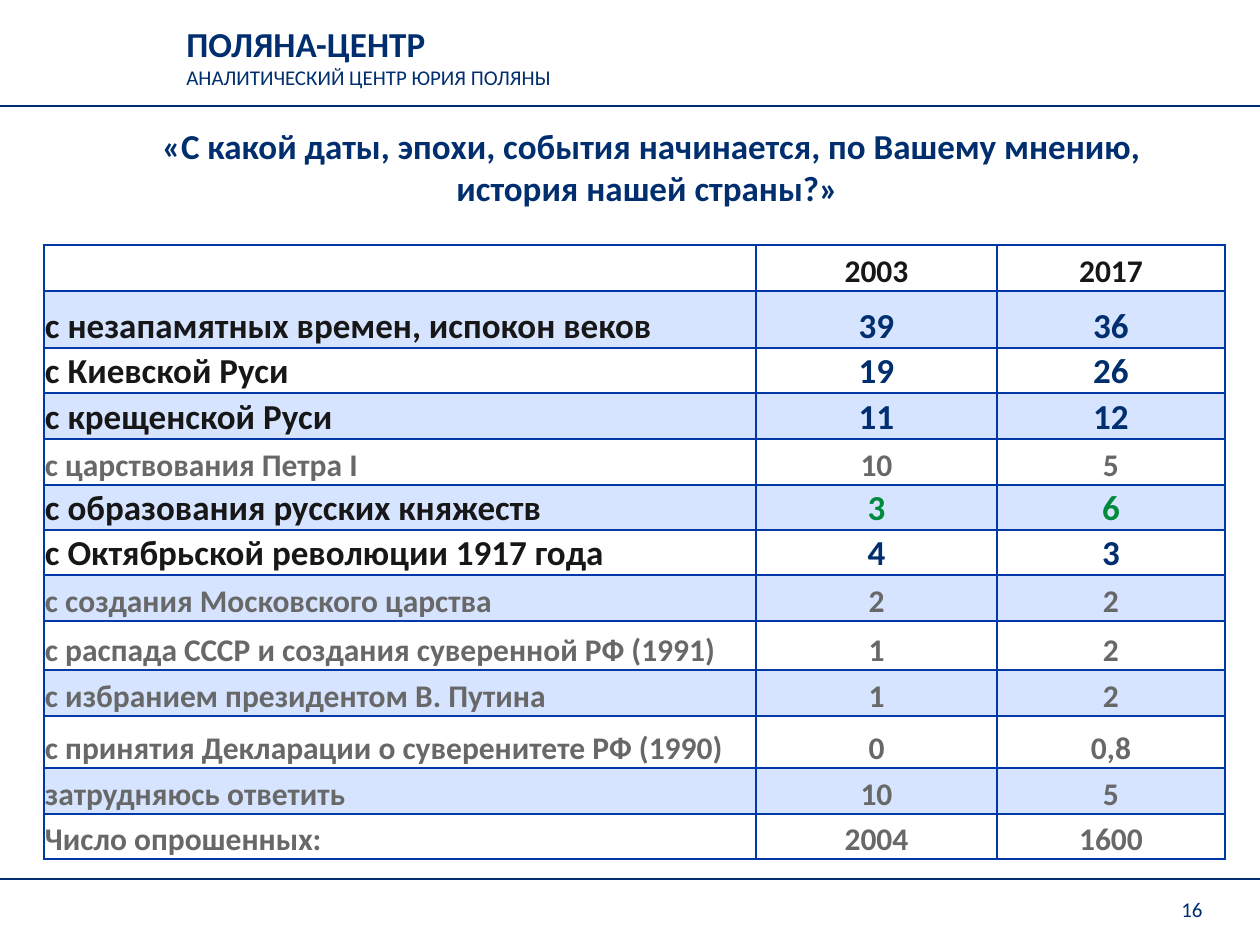
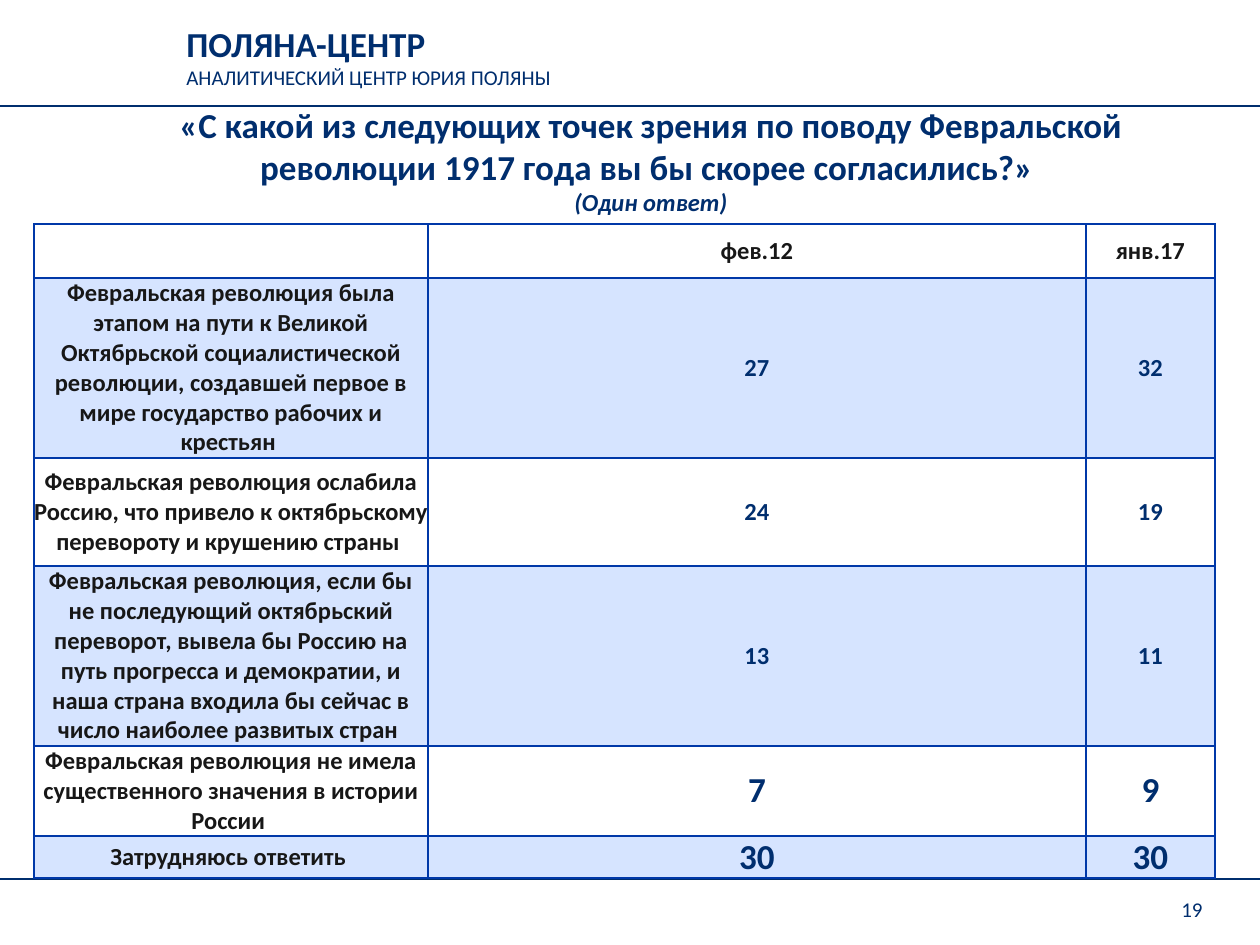
from dataclasses import dataclass

from lxml.etree import SubElement
from pptx import Presentation
from pptx.dml.color import RGBColor
from pptx.enum.shapes import MSO_CONNECTOR
from pptx.enum.text import MSO_ANCHOR, PP_ALIGN
from pptx.oxml.ns import qn
from pptx.util import Emu, Pt

PX_PER_INCH = 126
SLIDE_W, SLIDE_H = 1260, 945
FONT = "Calibri"
NAVY, BORDER, BAND, WHITE = "002E6E", "0038A8", "D6E4FF", "FFFFFF"
BLACK, GREY, GREEN = "171717", "686868", "008A3E"
BORDER_PT = 1
RULE_YS = (106, 879)


@dataclass(frozen=True)
class Style:
    size: int
    color: str = NAVY
    bold: bool = True
    italic: bool = False


@dataclass(frozen=True)
class Row:
    height: int
    cells: tuple[str, ...]
    label: Style
    value: Style


@dataclass(frozen=True)
class TableSpec:
    left: int
    top: int
    columns: tuple[int, ...]
    rows: tuple[Row, ...]
    label_align: PP_ALIGN
    anchor: MSO_ANCHOR
    inset: int


@dataclass(frozen=True)
class Page:
    number: int
    title_box: tuple[int, int, int, int]
    title: tuple[tuple[str, Style], ...]
    table: TableSpec


TITLE, NOTE = Style(20), Style(14, italic=True)
SMALL = Style(12, bold=False)
HEAD = Style(18, BLACK)
KEY, KEY_VALUE, RISING = Style(20, BLACK), Style(20), Style(20, GREEN)
MINOR = Style(18, GREY)
OPINION, OPINION_VALUE = Style(14, BLACK), Style(14)

BRAND = (("ПОЛЯНА-ЦЕНТР", TITLE), ("АНАЛИТИЧЕСКИЙ ЦЕНТР ЮРИЯ ПОЛЯНЫ", SMALL))

HISTORY_START = TableSpec(44, 245, (712, 241, 228), (
    Row(46, ("", "2003", "2017"), HEAD, HEAD),
    Row(57, ("с незапамятных времен, испокон веков", "39", "36"), KEY, KEY_VALUE),
    Row(45, ("с Киевской Руси", "19", "26"), KEY, KEY_VALUE),
    Row(46, ("с крещенской Руси", "11", "12"), KEY, KEY_VALUE),
    Row(46, ("с царствования Петра I", "10", "5"), MINOR, MINOR),
    Row(45, ("с образования русских княжеств", "3", "6"), KEY, RISING),
    Row(45, ("с Октябрьской революции 1917 года", "4", "3"), KEY, KEY_VALUE),
    Row(46, ("с создания Московского царства", "2", "2"), MINOR, MINOR),
    Row(49, ("с распада СССР и создания суверенной РФ (1991)", "1", "2"), MINOR, MINOR),
    Row(46, ("с избранием президентом В. Путина", "1", "2"), MINOR, MINOR),
    Row(52, ("с принятия Декларации о суверенитете РФ (1990)", "0", "0,8"), MINOR, MINOR),
    Row(46, ("затрудняюсь ответить", "10", "5"), MINOR, MINOR),
    Row(45, ("Число опрошенных:", "2004", "1600"), MINOR, MINOR),
), PP_ALIGN.LEFT, MSO_ANCHOR.BOTTOM, 1)

FEBRUARY_VIEWS = TableSpec(34, 224, (394, 658, 129), (
    Row(54, ("", "фев.12", "янв.17"), OPINION, OPINION),
    Row(180, ("Февральская революция была этапом на пути к Великой Октябрьской "
              "социалистической революции, создавшей первое в мире государство "
              "рабочих и крестьян ", "27", "32"), OPINION, OPINION_VALUE),
    Row(108, ("Февральская революция ослабила Россию, что привело к октябрьскому "
              "перевороту и крушению страны ", "24", "19"), OPINION, OPINION_VALUE),
    Row(180, ("Февральская революция, если бы не последующий октябрьский переворот, "
              "вывела бы Россию на путь прогресса и демократии, и наша страна входила "
              "бы сейчас в число наиболее развитых стран ", "13", "11"),
        OPINION, OPINION_VALUE),
    Row(90, ("Февральская революция не имела существенного значения в истории "
             "России ", "7", "9"), OPINION, KEY_VALUE),
    Row(30, ("Затрудняюсь ответить ", "30", "30"), OPINION, KEY_VALUE),
), PP_ALIGN.CENTER, MSO_ANCHOR.MIDDLE, 0)

PAGES = (
    Page(16, (115, 118, 1073, 97),
         (("«С какой даты, эпохи, события начинается, по Вашему мнению, "
           "история нашей страны?» ", TITLE),), HISTORY_START),
    Page(19, (127, 97, 1048, 127),
         (("«С какой из следующих точек зрения по поводу Февральской революции "
           "1917 года вы бы скорее согласились?» ", TITLE),
          ("(Один ответ)", NOTE)), FEBRUARY_VIEWS),
)


def px(n: int) -> Emu:
    return Emu(round(n * 914400 / PX_PER_INCH))


def rgb(color: str) -> RGBColor:
    return RGBColor.from_string(color)


def add_run(p, text: str, style: Style) -> None:
    r = p.add_run()
    r.text = text
    r.font.name = FONT
    r.font.size = Pt(style.size)
    r.font.bold = style.bold
    r.font.italic = style.italic
    r.font.color.rgb = rgb(style.color)


def add_text(s, box: tuple[int, int, int, int], lines: tuple[tuple[str, Style], ...],
             align: PP_ALIGN, anchor: MSO_ANCHOR = MSO_ANCHOR.TOP) -> None:
    tf = s.shapes.add_textbox(*map(px, box)).text_frame
    tf.word_wrap = True
    tf.vertical_anchor = anchor
    for i, (text, style) in enumerate(lines):
        p = tf.add_paragraph() if i else tf.paragraphs[0]
        p.alignment = align
        add_run(p, text, style)


def add_rule(s, y: int) -> None:
    line = s.shapes.add_connector(MSO_CONNECTOR.STRAIGHT, 0, px(y), px(SLIDE_W), px(y))
    line.line.color.rgb = rgb(NAVY)
    line.line.width = Pt(1.5)
    SubElement(line._element.spPr, qn("a:effectLst"))


def style_cell(cell, fill: str, anchor: MSO_ANCHOR, inset: int) -> None:
    cell.vertical_anchor = anchor
    cell.margin_left = cell.margin_right = cell.margin_top = px(inset)
    cell.margin_bottom = 0
    tc_pr = cell._tc.get_or_add_tcPr()
    for side in ("lnL", "lnR", "lnT", "lnB"):
        ln = SubElement(tc_pr, qn(f"a:{side}"), w=str(Pt(BORDER_PT)))
        SubElement(SubElement(ln, qn("a:solidFill")), qn("a:srgbClr"), val=BORDER)
    cell.fill.solid()
    cell.fill.fore_color.rgb = rgb(fill)


def add_survey_table(s, spec: TableSpec) -> None:
    """Draw the answers with every second row tinted."""
    width, height = sum(spec.columns), sum(row.height for row in spec.rows)
    table = s.shapes.add_table(len(spec.rows), len(spec.columns),
                               *map(px, (spec.left, spec.top, width, height))).table
    table.first_row = table.horz_banding = False
    for column, w in zip(table.columns, spec.columns):
        column.width = px(w)
    for i, row in enumerate(spec.rows):
        table.rows[i].height = px(row.height)
        for j, text in enumerate(row.cells):
            cell = table.cell(i, j)
            style_cell(cell, BAND if i % 2 else WHITE, spec.anchor, spec.inset)
            p = cell.text_frame.paragraphs[0]
            p.alignment = PP_ALIGN.CENTER if j else spec.label_align
            if text:
                add_run(p, text, row.value if j else row.label)


def add_page(prs, page: Page) -> None:
    s = prs.slides.add_slide(prs.slide_layouts[6])
    add_text(s, (174, 16, 665, 81), BRAND, PP_ALIGN.LEFT)
    for y in RULE_YS:
        add_rule(s, y)
    add_text(s, (1126, 890, 89, 39), ((str(page.number), SMALL),),
             PP_ALIGN.RIGHT, MSO_ANCHOR.MIDDLE)
    add_text(s, page.title_box, page.title, PP_ALIGN.CENTER)
    add_survey_table(s, page.table)


def main() -> None:
    prs = Presentation()
    prs.slide_width, prs.slide_height = px(SLIDE_W), px(SLIDE_H)
    for page in PAGES:
        add_page(prs, page)
    prs.save("out.pptx")


if __name__ == "__main__":
    main()
